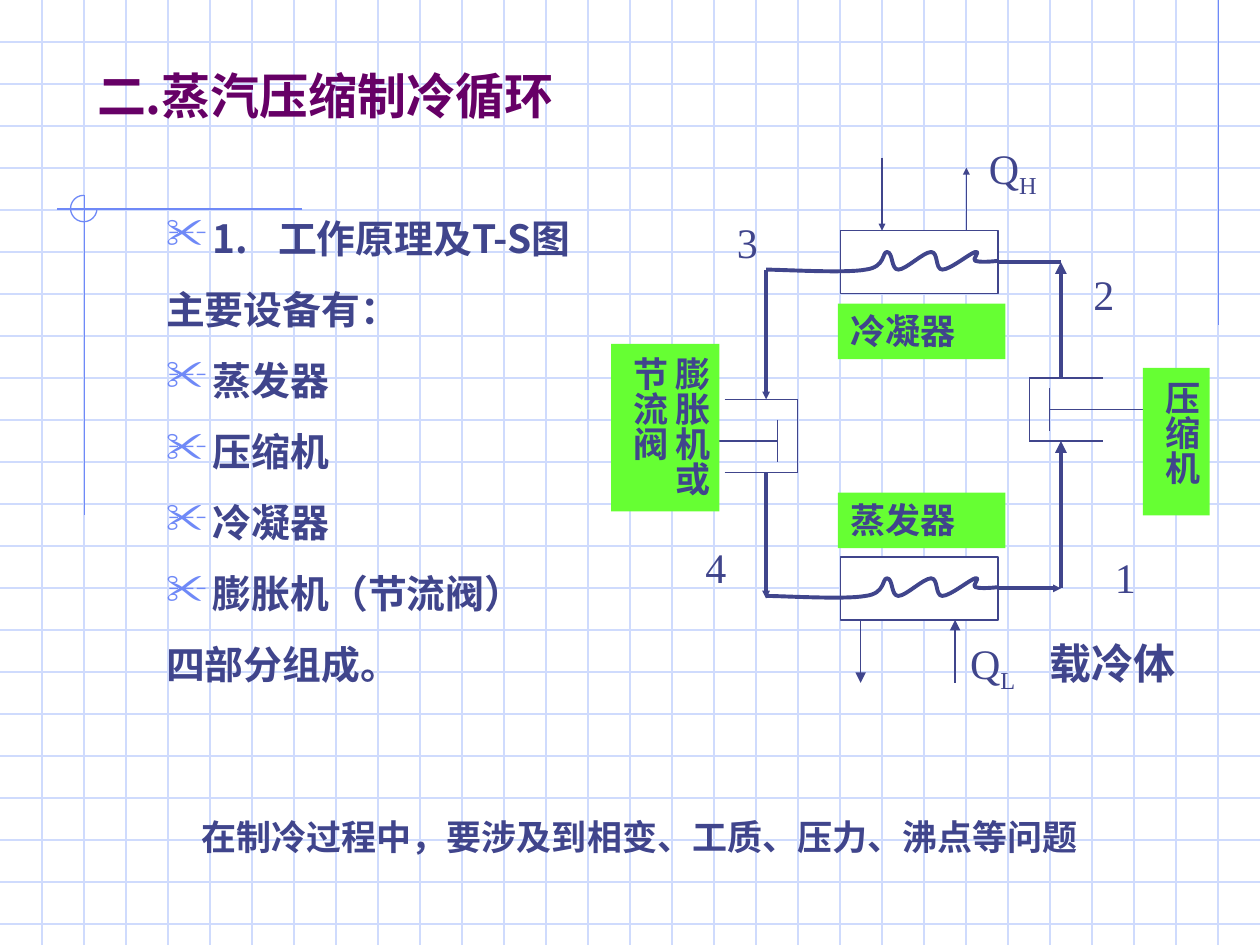
from dataclasses import dataclass
from typing import NamedTuple

import pptx
import pptx.dml.color
import pptx.enum.shapes
import pptx.enum.text
import pptx.oxml
import pptx.oxml.ns
import pptx.util
from pptx.util import Inches

RGB = pptx.dml.color.RGBColor.from_string
SHAPE = pptx.enum.shapes.MSO_SHAPE
ANCHOR = pptx.enum.text.MSO_ANCHOR
ALIGN = pptx.enum.text.PP_ALIGN
qn = pptx.oxml.ns.qn


@dataclass(frozen=True)
class Theme:
    ink: str = "40458C"
    title: str = "660066"
    grid: str = "CFDBFD"
    accent: str = "6F89F7"
    label: str = "66FF33"
    paper: str = "FFFFFF"
    sans: str = "Noto Sans CJK SC"
    serif: str = "Times New Roman"
    title_size: float = 28
    body_size: float = 22.2
    gap_size: float = 17
    note_size: float = 20
    mark_size: float = 24
    thin: float = 0.75
    outline: float = 1
    pipe: float = 2.25


THEME = Theme()


class Line(NamedTuple):
    x1: float
    y1: float
    x2: float
    y2: float
    width: float = THEME.outline
    arrow: str = ""
    color: str = THEME.ink


class Box(NamedTuple):
    left: float
    top: float
    width: float
    height: float


class Label(NamedTuple):
    text: str
    box: Box
    vertical: bool = False
    align: ALIGN = ALIGN.LEFT


class Mark(NamedTuple):
    text: str
    box: Box
    subscript: str = ""
    remark: str = ""


PITCH = 1 / 3
SHELL_HEIGHT = 0.5
COIL_START = (7.92, 0.24)
COIL_CURVES = [
    ((7.84, 0.25), (7.77, 0.25), (7.74, 0.24)),
    ((7.71, 0.23), (7.79, 0.16), (7.74, 0.17)),
    ((7.70, 0.18), (7.54, 0.31), (7.48, 0.31)),
    ((7.42, 0.31), (7.45, 0.17), (7.39, 0.17)),
    ((7.33, 0.17), (7.19, 0.31), (7.13, 0.31)),
    ((7.07, 0.31), (7.09, 0.17), (7.04, 0.17)),
    ((7.00, 0.17), (7.03, 0.29), (6.87, 0.31)),
    ((6.71, 0.34), (6.21, 0.31), (6.08, 0.31)),
]
COMPRESSOR = [
    Line(8.17, 3, 8.75, 3), Line(8.17, 3, 8.17, 3.5), Line(8.17, 3.5, 8.75, 3.5),
    Line(8.33, 3.08, 8.33, 3.42), Line(8.33, 3.25, 9.08, 3.25),
]
EXPANDER = [
    Line(5.75, 3.17, 6.33, 3.17), Line(5.75, 3.75, 6.33, 3.75), Line(5.58, 3.5, 6.17, 3.5),
    Line(6.17, 3.33, 6.17, 3.67), Line(6.33, 3.17, 6.33, 3.75),
]
HEAT_FLOWS = [
    Line(7, 1.25, 7, 1.83, arrow="sm"), Line(7.67, 1.83, 7.67, 1.33, arrow="sm"),
    Line(7.58, 5.42, 7.58, 4.92, arrow="med"), Line(6.83, 4.92, 6.83, 5.42, arrow="med"),
]
PIPES = [
    Line(8.42, 4.67, 8.42, 3.5, THEME.pipe, "med"), Line(8.42, 3, 8.42, 2.08, THEME.pipe, "med"),
    Line(6.08, 2.14, 6.08, 3.17, THEME.pipe, "sm"), Line(6.08, 3.75, 6.08, 4.75, THEME.pipe, "sm"),
]
LABELS = [
    Label("蒸发器", Box(6.65, 3.91, 1.33, 0.44)),
    Label("冷凝器", Box(6.65, 2.41, 1.33, 0.44)),
    Label("压缩机", Box(9.07, 2.92, 0.53, 1.17), True, ALIGN.CENTER),
    Label("膨胀机或节流阀", Box(4.85, 2.73, 0.86, 1.33), True),
]
MARKS = [
    Mark("1", Box(8.75, 4.33, 0.42, 0.5)),
    Mark("2", Box(8.58, 2.08, 0.42, 0.5)),
    Mark("3", Box(5.75, 1.67, 0.42, 0.5)),
    Mark("4", Box(5.5, 4.25, 0.42, 0.5)),
    Mark("Q", Box(7.75, 1.08, 0.83, 0.56), "H"),
    Mark("Q", Box(7.6, 5.01, 2.08, 0.56), "L", "载冷体"),
]
EQUIPMENT = [
    ("1.　工作原理及T-S图", True), ("主要设备有：", False), ("蒸发器", True), ("压缩机", True),
    ("冷凝器", True), ("膨胀机（节流阀）", True), ("四部分组成。", False),
]


def emu(box: Box) -> list[int]:
    return [Inches(length) for length in box]


def add_child(parent, tag: str, **attributes: str):
    child = parent.makeelement(qn(tag), attributes)
    parent.append(child)
    return child


def add_run(paragraph, text: str, size: float, font: str, color: str = THEME.ink, bold: bool = False):
    run = paragraph.add_run()
    run.text = text
    run.font.size = pptx.util.Pt(size)
    run.font.bold = bold
    run.font.color.rgb = RGB(color)
    run.font.name = font
    add_child(run.font._element, "a:ea", typeface=THEME.sans)
    return run


def draw_line(slide, line: Line):
    connector = slide.shapes.add_connector(
        pptx.enum.shapes.MSO_CONNECTOR.STRAIGHT, *[Inches(v) for v in line[:4]])
    connector.line.color.rgb = RGB(line.color)
    connector.line.width = pptx.util.Pt(line.width)
    if line.arrow:
        add_child(connector.line._get_or_add_ln(), "a:tailEnd",
                  type="triangle", w=line.arrow, len=line.arrow)
    add_child(connector._element.spPr, "a:effectLst")
    return connector


def style_shape(shape, fill: str, outline: str, width: float) -> None:
    shape.shadow.inherit = False
    if fill:
        shape.fill.solid()
        shape.fill.fore_color.rgb = RGB(fill)
    else:
        shape.fill.background()
    if outline:
        shape.line.color.rgb = RGB(outline)
        shape.line.width = pptx.util.Pt(width)
    else:
        shape.line.fill.background()


def draw_shape(slide, kind, box: Box, fill: str = "", outline: str = "", width: float = THEME.outline):
    shape = slide.shapes.add_shape(kind, *emu(box))
    style_shape(shape, fill, outline, width)
    return shape


def add_text_frame(slide, box: Box):
    frame = slide.shapes.add_textbox(*emu(box)).text_frame
    frame.word_wrap = True
    return frame


def draw_background(slide) -> None:
    rows = [(0, n * PITCH, 10, n * PITCH) for n in range(1, 23)]
    columns = [(n * PITCH, 0, n * PITCH, 7.5) for n in range(1, 30)]
    rules = [(9.67, 0, 9.67, 2.58), (2.4, 1.66, 0.45, 1.66), (0.67, 1.55, 0.67, 4.09)]
    decor = [draw_line(slide, Line(*ends, THEME.thin, color=color))
             for group, color in ((rows + columns, THEME.grid), (rules, THEME.accent))
             for ends in group]
    ring = draw_shape(slide, SHAPE.ARC, Box(0.56, 1.55, 0.21, 0.21), "", THEME.accent, THEME.thin)
    ring.adjustments[0] = 0
    ring.adjustments[1] = 162
    for part in decor + [ring]:
        slide.slide_layout.shapes._spTree.append(part._element)


def draw_coil(slide, top: float) -> None:
    builder = slide.shapes.build_freeform(Inches(COIL_START[0]), Inches(top + COIL_START[1]))
    points = [(Inches(x), Inches(top + y)) for curve in COIL_CURVES for x, y in curve]
    builder.add_line_segments(points, close=False)
    coil = builder.convert_to_shape()
    style_shape(coil, "", THEME.ink, THEME.pipe)
    segments = list(coil._element.iter(qn("a:lnTo")))
    outline = segments[0].getparent()
    for first in range(0, len(segments), 3):
        curve = add_child(outline, "a:cubicBezTo")
        for segment in segments[first:first + 3]:
            curve.append(segment[0])
            outline.remove(segment)


def draw_exchanger(slide, top: float, arrow: str) -> None:
    shell = draw_shape(slide, SHAPE.RECTANGLE, Box(6.67, top, 1.25, SHELL_HEIGHT),
                       THEME.paper, THEME.ink)
    middle = top + SHELL_HEIGHT / 2
    pipe = draw_line(slide, Line(7.92, middle, 8.42, middle, THEME.pipe, arrow))
    pipe.begin_connect(shell, 3)
    draw_coil(slide, top)


def draw_label(slide, label: Label) -> None:
    frame = draw_shape(slide, SHAPE.RECTANGLE, label.box, THEME.label).text_frame
    frame.word_wrap = True
    frame.vertical_anchor = ANCHOR.TOP
    if label.vertical:
        frame._txBody.bodyPr.set("vert", "eaVert")
        frame.margin_left = frame.margin_right = Inches(0.05)
        frame.margin_top = frame.margin_bottom = Inches(0.1)
    frame.paragraphs[0].alignment = label.align
    add_run(frame.paragraphs[0], label.text, THEME.note_size, THEME.serif, bold=True)


def draw_mark(slide, mark: Mark) -> None:
    paragraph = add_text_frame(slide, mark.box).paragraphs[0]
    if mark.remark:
        tabs = add_child(paragraph._p.get_or_add_pPr(), "a:tabLst")
        add_child(tabs, "a:tab", pos=str(Inches(0.63)), algn="l")
    add_run(paragraph, mark.text, THEME.mark_size, THEME.serif)
    if mark.subscript:
        subscript = add_run(paragraph, mark.subscript, THEME.mark_size, THEME.serif)
        subscript.font._element.set("baseline", "-25000")
    if mark.remark:
        add_run(paragraph, "\t" + mark.remark, THEME.mark_size, THEME.serif, bold=True)


def write_title(slide) -> None:
    title = slide.shapes.title
    title.left, title.top, title.width, title.height = emu(Box(0.67, 0.29, 8.5, 0.75))
    title.text_frame.vertical_anchor = ANCHOR.BOTTOM
    paragraph = title.text_frame.paragraphs[0]
    paragraph.alignment = ALIGN.LEFT
    add_run(paragraph, "二.蒸汽压缩制冷循环", THEME.title_size, THEME.sans, THEME.title, True)


def write_equipment(slide) -> None:
    frame = add_text_frame(slide, Box(1.22, 1.54, 3.88, 4.5))
    for index, (text, bulleted) in enumerate(EQUIPMENT):
        paragraph = frame.add_paragraph() if index else frame.paragraphs[0]
        properties = paragraph._p.get_or_add_pPr()
        properties.set("marL", str(Inches(0.37)))
        properties.set("indent", str(Inches(-0.37)))
        if bulleted:
            add_child(add_child(properties, "a:buClr"), "a:srgbClr", val=THEME.accent)
            add_child(properties, "a:buSzPct", val="110000")
            add_child(properties, "a:buChar", char="✂")
        paragraph.line_spacing = 1.3
        paragraph.space_before = pptx.util.Pt(6 if index else 0)
        for part in filter(None, text.partition("　")):
            size = THEME.gap_size if part == "　" else THEME.body_size
            add_run(paragraph, part, size, THEME.sans, bold=True)


def main() -> None:
    deck = pptx.Presentation()
    deck.slide_width, deck.slide_height = Inches(10), Inches(7.5)
    slide = deck.slides.add_slide(deck.slide_layouts[5])
    draw_background(slide)
    write_title(slide)
    write_equipment(slide)
    note = add_text_frame(slide, Box(1.5, 6.42, 8.08, 0.44))
    add_run(note.paragraphs[0], "在制冷过程中，要涉及到相变、工质、压力、沸点等问题",
            THEME.note_size, THEME.sans, bold=True)
    draw_exchanger(slide, 1.83, "")
    draw_exchanger(slide, 4.42, "sm")
    for line in COMPRESSOR + EXPANDER + HEAT_FLOWS + PIPES:
        draw_line(slide, line)
    for label in LABELS:
        draw_label(slide, label)
    for mark in MARKS:
        draw_mark(slide, mark)
    deck.save("out.pptx")


if __name__ == "__main__":
    main()
